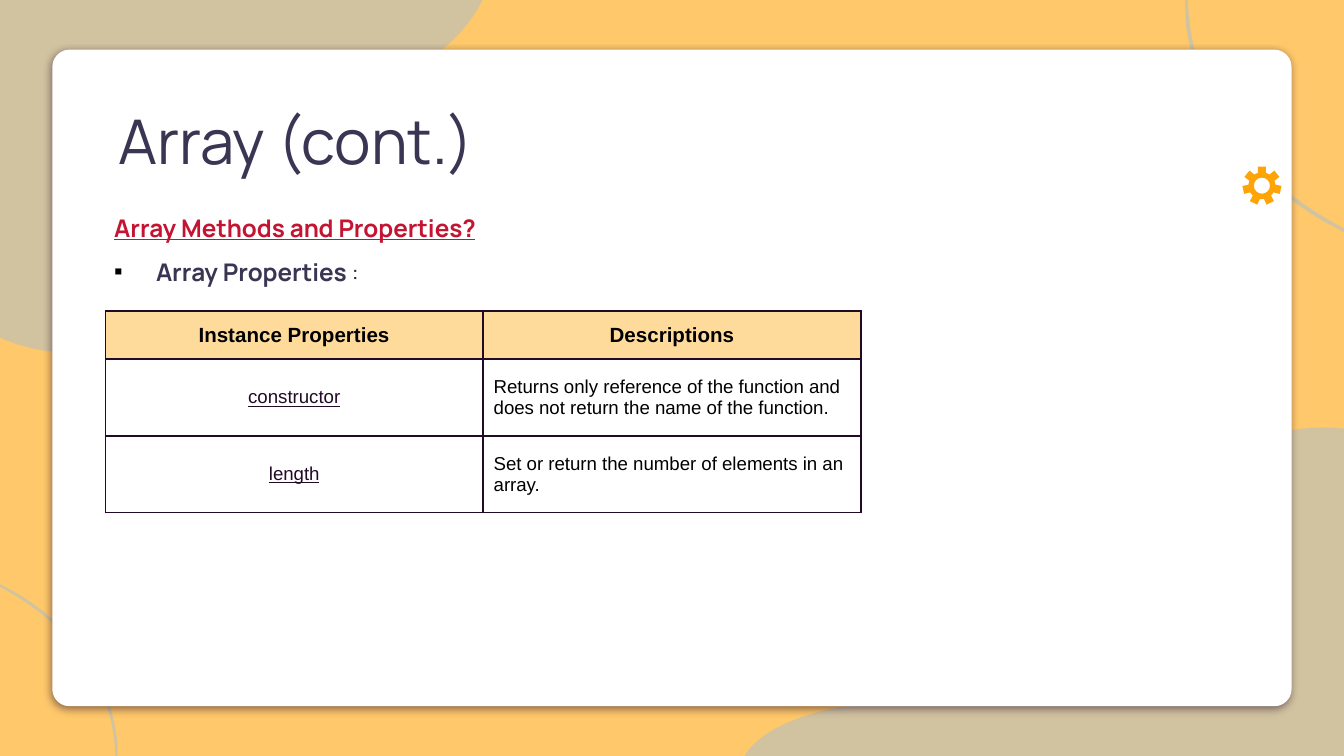
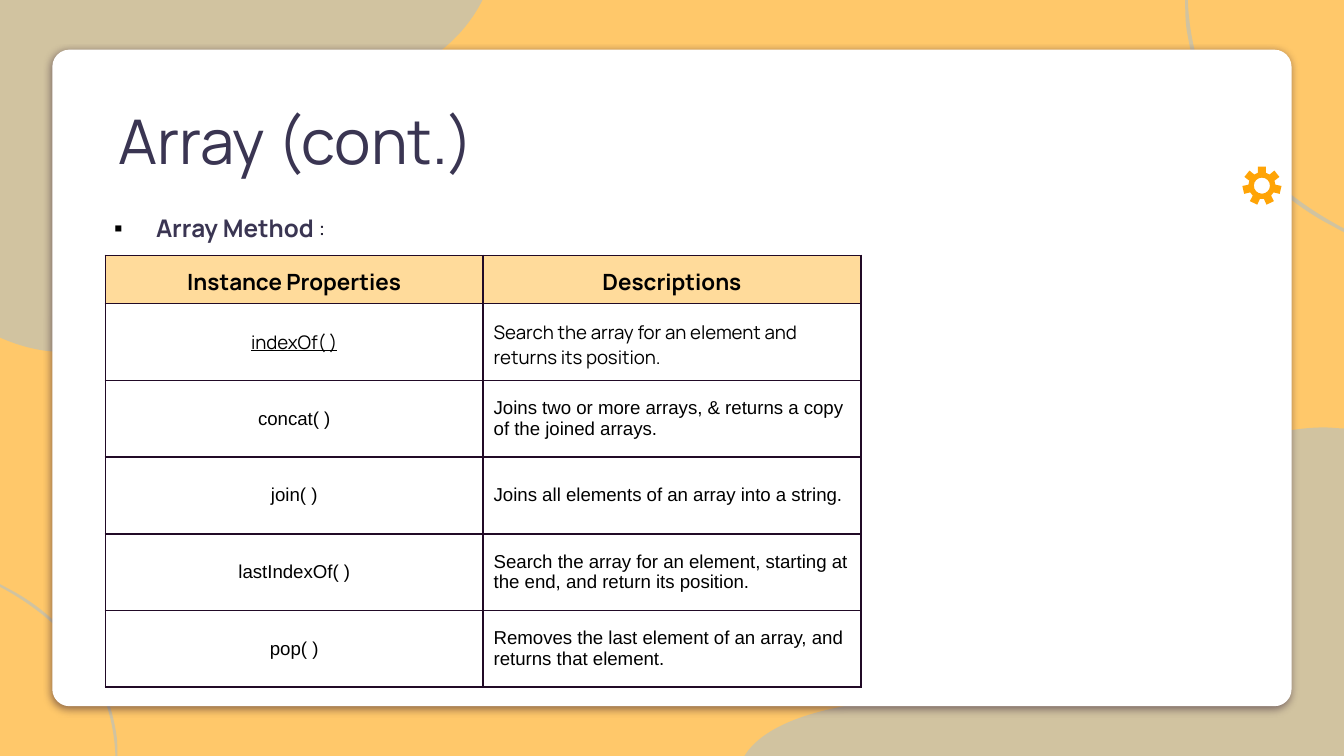
import math
import lxml.etree
import pptx
import pptx.dml.color
import pptx.enum.shapes
import pptx.enum.text
import pptx.oxml.ns
import pptx.util

Cm = pptx.util.Cm
Pt = pptx.util.Pt
RGBColor = pptx.dml.color.RGBColor
ALIGN = pptx.enum.text.PP_ALIGN
ANCHOR = pptx.enum.text.MSO_ANCHOR
qn = pptx.oxml.ns.qn

# Colours and fonts
ORANGE = RGBColor(0xFF, 0xC8, 0x6A)
MIST = RGBColor(0xA0, 0xBF, 0xDB)
WHITE = RGBColor(0xFF, 0xFF, 0xFF)
BLACK = RGBColor(0, 0, 0)
GEAR = RGBColor(0xFF, 0xA4, 0x06)
NAVY = RGBColor(0x3A, 0x35, 0x52)
INK = RGBColor(0x27, 0x24, 0x36)
RED = RGBColor(0xC3, 0x14, 0x32)
PLUM = RGBColor(0x21, 0x0A, 0x26)
HEADER_FILL = RGBColor(0xFF, 0xDB, 0x9B)
DISPLAY, PLAIN = "Manrope", "Arial"

# Boxes in centimetres: left, top, width, height
PAGE = (0, 0, 25.4, 14.29)
PANEL = (0.99, 0.94, 23.42, 12.41)
GEAR_BOX = (23.48, 3.14, 0.74, 0.74)
TITLE_BOX = (1.99, 1.49, 19, 1.98)

# Outlines: each step lists one point for a line, three for a curve
RIBBON = [
    [(22.45, 0)],
    [(22.48, 0.91), (22.78, 1.85), (23.32, 2.59)],
    [(23.88, 3.33), (24.59, 3.89), (25.4, 4.32)],
    [(25.4, 4.39)],
    [(25.3, 4.34), (25.22, 4.29), (25.12, 4.24)],
    [(24.46, 3.89), (23.88, 3.38), (23.39, 2.79)],
    [(22.91, 2.18), (22.58, 1.45), (22.45, 0.69)],
    [(22.4, 0.46), (22.4, 0.23), (22.4, 0)],
]
TOP_BLOB = [
    [(1.14, 6.65)],
    [(0.56, 6.65), (0, 6.38), (0, 6.38)],
    [(0, 0)],
    [(9.12, 0)],
    [(7.95, 2.31), (4.34, 1.85), (2.84, 2.31)],
    [(1.35, 2.77), (3, 4.98), (2.18, 6.15)],
    [(1.91, 6.55), (1.52, 6.65), (1.14, 6.65)],
]
BOTTOM_BLOB = [
    [(14.07, 14.29)],
    [(14.48, 13.61), (15.85, 13.18), (18.08, 13.18)],
    [(18.16, 13.18), (18.24, 13.18), (18.34, 13.18)],
    [(18.36, 13.18), (18.39, 13.18), (18.42, 13.18)],
    [(21.77, 13.18), (20.35, 10.24), (22.83, 8.69)],
    [(23.5, 8.28), (24.38, 8.08), (25.02, 8.08)],
    [(25.17, 8.08), (25.3, 8.1), (25.4, 8.1)],
    [(25.4, 14.29)],
]


def add_xml(parent, tag, **attributes):
    element = lxml.etree.SubElement(parent, qn(tag))
    for name, value in attributes.items():
        element.set(name, str(value))
    return element


def lengths(box):
    return [Cm(value) for value in box]


def apply_format(target, values):
    for name, value in values.items():
        setattr(target, name, value)


def paint(shape, color, alpha=None):
    shape.shadow.inherit = False
    shape.fill.solid()
    shape.fill.fore_color.rgb = color
    shape.line.fill.background()
    if alpha:
        srgb = shape.element.spPr.find(qn("a:solidFill"))[0]
        add_xml(srgb, "a:alpha", val=alpha * 1000)


def map_outline(outline, change):
    return [[change(x, y) for x, y in step] for step in outline]


def add_outline(page, outlines, color, alpha=None):
    """Build lines between the end points, then bend those that are curves."""
    builder = None
    for outline in outlines:
        ends = [lengths(step[-1]) for step in outline]
        if builder is None:
            builder = page.shapes.build_freeform(*ends[0])
        else:
            builder.move_to(*ends[0])
        builder.add_line_segments(ends[1:], close=True)
    shape = builder.convert_to_shape()
    steps = [step for outline in outlines for step in outline[1:]]
    for line, step in zip(list(shape.element.iter(qn("a:lnTo"))), steps):
        if len(step) == 3:
            line.clear()
            line.tag = qn("a:cubicBezTo")
            for x, y in step:
                add_xml(line, "a:pt", x=Cm(x) - shape.left, y=Cm(y) - shape.top)
    paint(shape, color, alpha)


def write_span(para, text, values, color):
    span = para.add_run()
    span.text = text
    apply_format(span.font, values)
    span.font.color.rgb = color


# Shared page parts
def add_backdrop(page, box):
    left, top, width, height = box
    page.background.fill.solid()
    page.background.fill.fore_color.rgb = ORANGE
    # The lower ribbon is the upper one, turned half round and reduced
    lower_ribbon = map_outline(
        RIBBON, lambda x, y: ((width - x) * 0.74, height - y * 0.74))
    for outline in (RIBBON, TOP_BLOB, BOTTOM_BLOB, lower_ribbon):
        placed = map_outline(outline, lambda x, y: (left + x, top + y))
        add_outline(page, [placed], MIST, 48)


def add_panel(page, box):
    panel = page.shapes.add_shape(
        pptx.enum.shapes.MSO_SHAPE.ROUNDED_RECTANGLE, *lengths(box))
    panel.adjustments[0] = 0.026
    paint(panel, WHITE)
    effects = panel.element.spPr.find(qn("a:effectLst"))
    shadow = add_xml(effects, "a:outerShdw", blurRad=Pt(4.5), dist=Pt(1.5),
                     dir=90 * 60000, algn="bl", rotWithShape=0)
    color = add_xml(shadow, "a:srgbClr", val=PLUM)
    add_xml(color, "a:alpha", val=50000)


def add_gear(page, box, teeth=7):
    left, top, width, height = box
    radius = width / 2

    def at(angle, share):
        turn = math.radians(angle)
        return (left + radius * (1 + share * math.sin(turn)),
                top + radius * (1 - share * math.cos(turn)))

    rim = [[at(360 * tooth / teeth + angle, share)] for tooth in range(teeth)
           for angle, share in ((-17, 0.69), (-12, 1), (12, 1), (17, 0.69))]
    # Four quarter curves; their handles lie 29 degrees along, slightly outside
    hole = [[at(0, 0.41)]] + [
        [at(start + 29, 0.47), at(start + 61, 0.47), at(start + 90, 0.41)]
        for start in range(0, 360, 90)]
    add_outline(page, [hole, rim], GEAR)


def add_title(page, box, text):
    frame = page.shapes.add_textbox(*lengths(box)).text_frame
    inset = Cm(0.25)
    apply_format(frame, dict(word_wrap=True, margin_left=inset, margin_right=inset,
                             margin_top=inset, margin_bottom=inset))
    para = frame.paragraphs[0]
    para.line_spacing = 1.15
    write_span(para, text, dict(name=DISPLAY, size=Pt(33)), NAVY)


# Text above the table
def add_intro(page, box, heading, topic):
    frame = page.shapes.add_textbox(*lengths(box)).text_frame
    apply_format(frame, dict(
        word_wrap=True, auto_size=pptx.enum.text.MSO_AUTO_SIZE.SHAPE_TO_FIT_TEXT))
    plain = dict(name=DISPLAY, size=Pt(13), bold=False)
    strong = {**plain, "bold": True}
    para = frame.paragraphs[0]
    if heading:
        para.line_spacing = 1.5
        write_span(para, heading, {**strong, "underline": True}, RED)
        para = frame.add_paragraph()
    para.line_spacing = 1.5
    properties = para._p.get_or_add_pPr()
    properties.set("marL", str(Cm(0.79)))
    properties.set("indent", str(-Cm(0.79)))
    add_xml(add_xml(properties, "a:buClr"), "a:srgbClr", val=BLACK)
    add_xml(properties, "a:buFont", typeface=PLAIN)
    add_xml(properties, "a:buChar", char="▪")
    write_span(para, topic + " ", strong, NAVY)
    write_span(para, ":", plain, INK)


def add_borders(cell):
    properties = cell._tc.get_or_add_tcPr()
    for index, side in enumerate("LRTB"):
        line = add_xml(properties, f"a:ln{side}", w=Pt(1))
        add_xml(add_xml(line, "a:solidFill"), "a:srgbClr", val=PLUM)
        properties.insert(index, line)


def fill_cell(cell, text, font, color, fill, align, margin):
    apply_format(cell, dict(
        vertical_anchor=ANCHOR.MIDDLE, margin_left=Cm(0.2), margin_right=Cm(0.2),
        margin_top=Cm(margin), margin_bottom=Cm(margin)))
    cell.fill.solid()
    cell.fill.fore_color.rgb = fill
    add_borders(cell)
    para = cell.text_frame.paragraphs[0]
    para.alignment = align
    write_span(para, text, font, color)


def add_members(page, box, header_font, members):
    """members: name, description, font name, name colour, underlined."""
    left, top, width, header_height, row_height = box
    height = header_height + row_height * len(members)
    table = page.shapes.add_table(
        len(members) + 1, 2, *lengths((left, top, width, height))).table
    apply_format(table, dict(first_row=False, horz_banding=False))
    for column in table.columns:
        column.width = Cm(width / 2)
    for index, row in enumerate(table.rows):
        row.height = Cm(row_height if index else header_height)
    for index, text in enumerate(("Instance Properties", "Descriptions")):
        fill_cell(table.cell(0, index), text, {**header_font, "bold": True},
                  BLACK, HEADER_FILL, ALIGN.CENTER, 0.2)
    for row, (name, description, face, color, underline) in enumerate(members, 1):
        font = dict(name=face, size=Pt(10), bold=False)
        fill_cell(table.cell(row, 0), name, {**font, "underline": underline},
                  color, WHITE, ALIGN.CENTER, 0.3)
        fill_cell(table.cell(row, 1), description, font, BLACK, WHITE,
                  ALIGN.LEFT, 0.3)


def add_array_page(deck, heading, topic, intro_height, table_top, header_font, members):
    page = deck.slides.add_slide(deck.slide_layouts[6])
    add_backdrop(page, PAGE)
    add_panel(page, PANEL)
    add_gear(page, GEAR_BOX)
    add_title(page, TITLE_BOX, "Array (cont.)")
    add_intro(page, (1.91, 3.63, 19.74, intro_height), heading, topic)
    add_members(page, (1.99, table_top, 14.28, 0.91, 1.45), header_font, members)


def main():
    deck = pptx.Presentation()
    deck.slide_width, deck.slide_height = lengths(PAGE[2:])
    add_array_page(
        deck, "Array Methods and Properties?", "Array Properties", 1.85, 5.88,
        dict(name=PLAIN, size=Pt(11)),
        [("constructor", "Returns only reference of the function and does not "
          "return the name of the function.", PLAIN, PLUM, True),
         ("length", "Set or return the number of elements in an array.",
          PLAIN, PLUM, True)])
    add_array_page(
        deck, None, "Array Method", 1.02, 4.83,
        dict(name=DISPLAY, size=Pt(12)),
        [("indexOf( )", "Search the array for an element and returns its position.",
          DISPLAY, BLACK, True),
         ("concat( )", "Joins two or more arrays, & returns a copy of the joined "
          "arrays.", PLAIN, BLACK, False),
         ("join( )", "Joins all elements of an array into a string.",
          PLAIN, BLACK, False),
         ("lastIndexOf( )", "Search the array for an element, starting at the end, "
          "and return its position.", PLAIN, BLACK, False),
         ("pop( )", "Removes the last element of an array, and returns that "
          "element.", PLAIN, BLACK, False)])
    deck.save("out.pptx")


if __name__ == "__main__":
    main()
